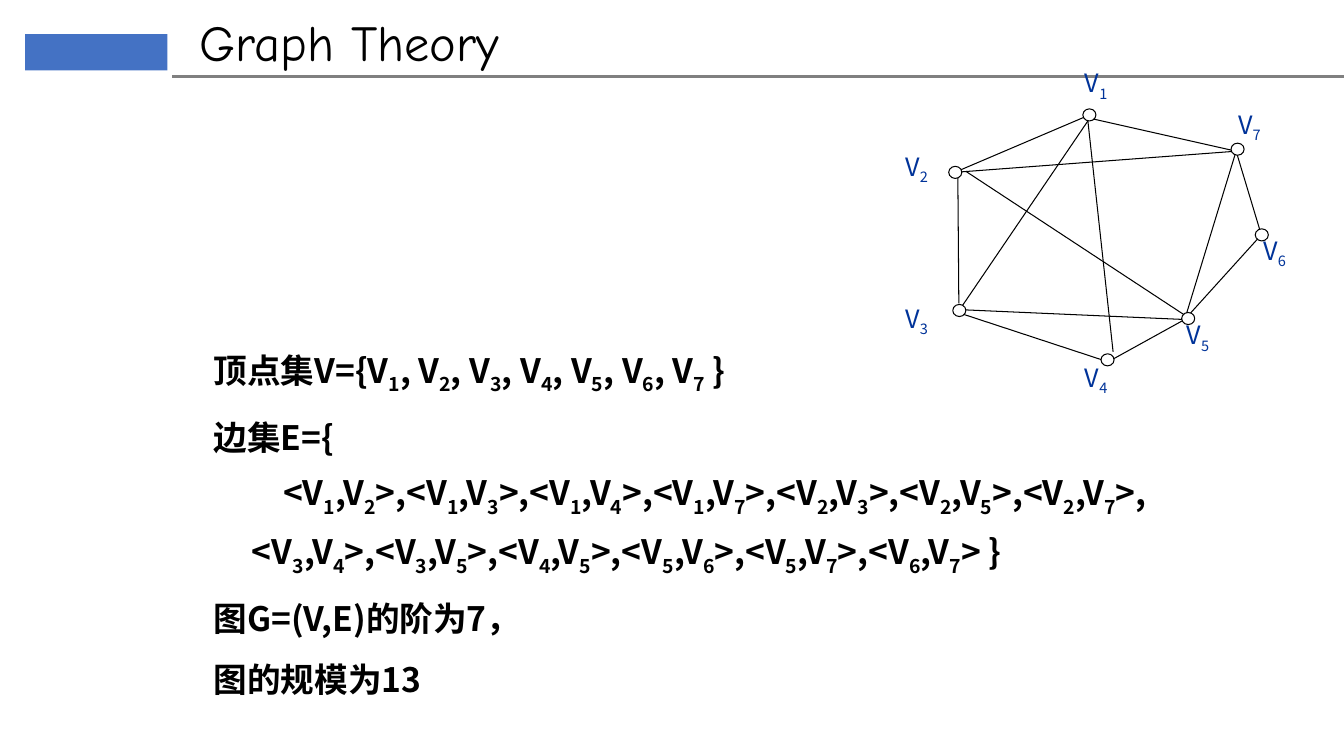
import pptx
import pptx.util
import pptx.dml.color
import pptx.enum.shapes
import pptx.enum.text
import pptx.oxml.ns
import lxml.etree

RGB = pptx.dml.color.RGBColor
BLACK = RGB(0, 0, 0)
WHITE = RGB(255, 255, 255)
GREY = RGB(0x80, 0x80, 0x80)
BLUE = RGB(0x44, 0x72, 0xC4)
NAVY = RGB(0x00, 0x33, 0x99)
SANS = "Noto Sans CJK SC"
ANCHOR = pptx.enum.text.MSO_ANCHOR
KIND = pptx.enum.shapes.MSO_SHAPE
qn = pptx.oxml.ns.qn

# The slide is a grid of 1333 columns and 750 rows
COLS, ROWS = 1333, 750
CELL = pptx.util.Inches(0.01)

deck = pptx.Presentation()
deck.slide_width, deck.slide_height = COLS * CELL, ROWS * CELL
slide = deck.slides.add_slide(deck.slide_layouts[6])


def add_text(box, lines, style, pad, anchor=ANCHOR.TOP):
    """Add a text box; a digit after "_" is set as a subscript."""
    frame = slide.shapes.add_textbox(*[n * CELL for n in box]).text_frame
    frame.word_wrap = True
    frame.vertical_anchor = anchor
    for side, gap in zip(("left", "top", "right", "bottom"), pad):
        setattr(frame, "margin_" + side, gap * CELL)
    for i, line in enumerate(lines):
        para = frame.paragraphs[0] if i == 0 else frame.add_paragraph()
        head, *rest = line.split("_")
        parts = [(head, False)]
        for part in rest:
            parts += [(part[0], True), (part[1:], False)]
        for text, sub in parts:
            if not text:
                continue
            run = para.add_run()
            run.text = text
            for key, value in style.items():
                if key == "color":
                    run.font.color.rgb = value
                else:
                    setattr(run.font, key, value)
            props = run.font._element
            for tag in ("a:ea", "a:cs"):
                lxml.etree.SubElement(props, qn(tag)).set("typeface", style["name"])
            if sub:
                props.set("baseline", "-25000")
    return frame


def add_line(start, end, color, width):
    ends = [n * CELL for n in (*start, *end)]
    link = slide.shapes.add_connector(
        pptx.enum.shapes.MSO_CONNECTOR.STRAIGHT, *ends)
    link.line.color.rgb = color
    link.line.width = pptx.util.Pt(width)
    lxml.etree.SubElement(link._element.spPr, qn("a:effectLst"))


# Header
block = slide.shapes.add_shape(
    KIND.RECTANGLE, *[n * CELL for n in (25, 34, 141, 36)])
block.shadow.inherit = False
block.fill.solid()
block.fill.fore_color.rgb = BLUE
block.line.fill.background()
add_line((171, 76), (COLS, 76), GREY, 2)
add_text((188, 6, 862, 71), ["Graph Theory"],
         {"name": "Comic Neue", "size": pptx.util.Pt(36), "color": BLACK},
         (10, 5, 10, 5), ANCHOR.MIDDLE)

# Each vertex: corner of its dot, meeting point of its edges, corner of its label
nodes = {
    1: ((1074, 108), (1079, 120), (1074, 67)),
    2: ((941, 165), (947, 171), (896, 150)),
    3: ((945, 302), (947, 309), (896, 301)),
    4: ((1092, 351), (1099, 359), (1074, 359)),
    5: ((1172, 310), (1175, 317), (1175, 317)),
    6: ((1245, 227), (1251, 233), (1251, 233)),
    7: ((1221, 142), (1226, 150), (1226, 108)),
}
# Each edge, with the ends that stand off the meeting point
edges = {
    (1, 2): {1: (1076, 116)},
    (1, 3): {3: (952, 307)},
    (1, 4): {4: (1104, 349)},
    (1, 7): {1: (1084, 118)},
    (2, 3): {2: (950, 176), 3: (951, 301)},
    (2, 5): {2: (958, 170), 5: (1174, 312)},
    (2, 7): {},
    (3, 4): {},
    (3, 5): {3: (947, 307)},
    (4, 5): {},
    (5, 6): {},
    (5, 7): {},
    (6, 7): {},
}

# Sets of vertices and edges
points = ", ".join(f"V_{n}" for n in nodes)
pairs = [f"<V_{a},V_{b}>" for a, b in edges]
body = add_text(
    (202, 329, 945, 347),
    [f"顶点集V={{{points} }}", "边集E={",
     ",".join(pairs[:7]) + ", " + ",".join(pairs[7:]) + " }",
     f"图G=(V,E)的阶为{len(nodes)}，", f"图的规模为{len(edges)}"],
    {"name": SANS, "size": pptx.util.Pt(24), "bold": True, "color": BLACK},
    (10, 5, 5, 5))
for i, para in enumerate(body.paragraphs):
    para.line_spacing = pptx.util.Pt(42)
    para.space_before = pptx.util.Pt(1.8 if i else 0)
    props = para._p.get_or_add_pPr()
    props.set("marL", str(38 * CELL))
    props.set("indent", str((31 if i == 2 else -38) * CELL))

# Graph
for (a, b), shift in edges.items():
    add_line(shift.get(a, nodes[a][1]), shift.get(b, nodes[b][1]), BLACK, 0.75)
for n, (dot, hub, label) in nodes.items():
    ring = slide.shapes.add_shape(
        KIND.FLOWCHART_CONNECTOR, *[v * CELL for v in (*dot, 13, 12)])
    ring.shadow.inherit = False
    ring.fill.solid()
    ring.fill.fore_color.rgb = WHITE
    ring.line.color.rgb = BLACK
    ring.line.width = pptx.util.Pt(0.75)
    add_text((*label, 51, 42), [f"V_{n}"],
             {"name": SANS, "size": pptx.util.Pt(18), "color": NAVY},
             (2, 0, 2, 0))

deck.save("out.pptx")
